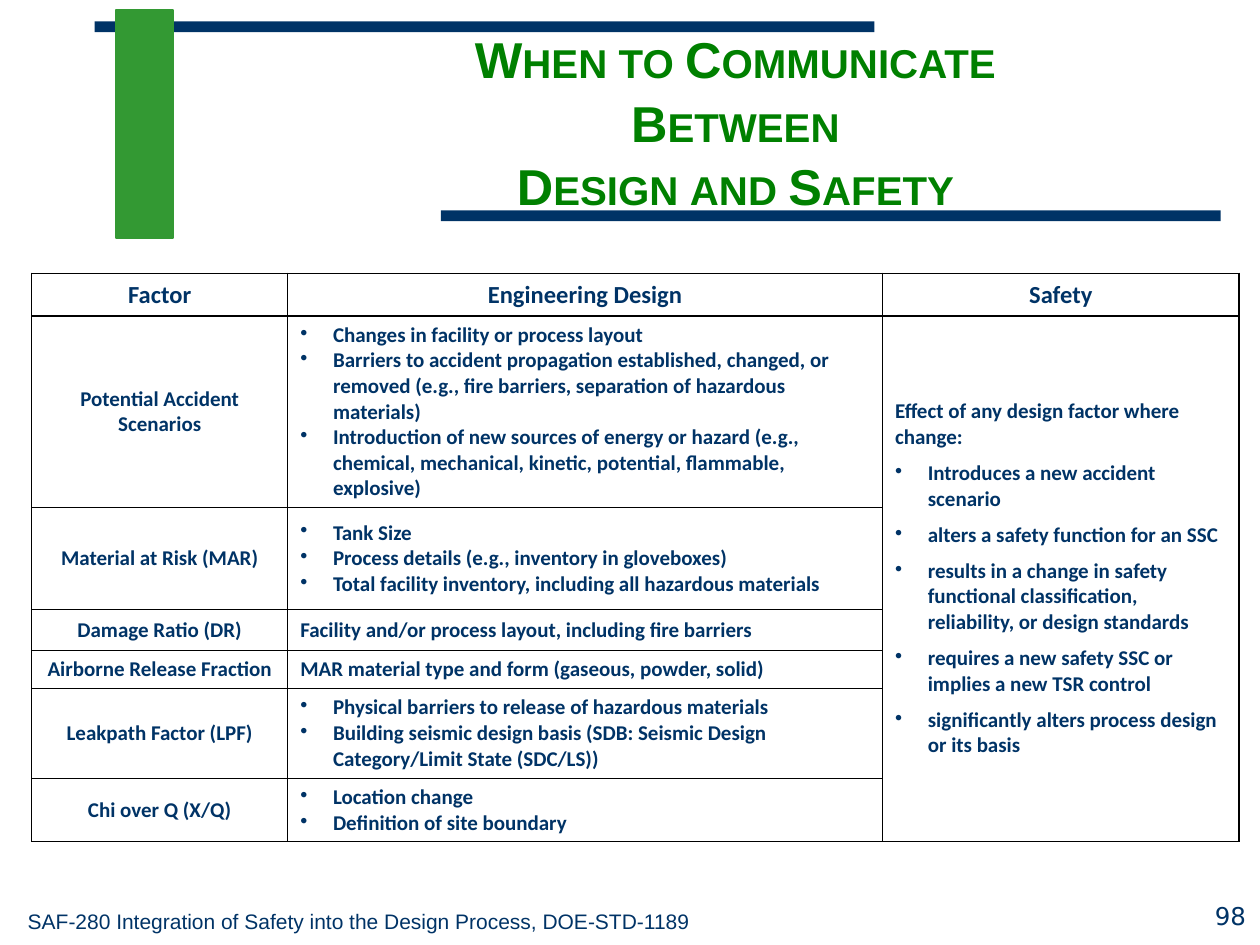
"""Build the slide on when design and safety teams should communicate."""
from lxml.etree import SubElement
from pptx import Presentation
from pptx.dml.color import RGBColor
from pptx.enum.shapes import MSO_SHAPE
from pptx.enum.text import MSO_ANCHOR, PP_ALIGN
from pptx.oxml.ns import qn
from pptx.util import Cm, Pt

NAVY, GREEN, TITLE_GREEN = "003366", "339933", "008000"
LEFT, CENTER, RIGHT = PP_ALIGN.LEFT, PP_ALIGN.CENTER, PP_ALIGN.RIGHT


def rgb(color):
    return RGBColor.from_string(color)


def style(paragraph, face, size, color, bold, align):
    paragraph.alignment = align
    font = paragraph.font
    font.name, font.size, font.bold = face, Pt(size), bold
    font.color.rgb = rgb(color)


presentation = Presentation()
presentation.slide_width, presentation.slide_height = Cm(25.4), Cm(19.05)
slide = presentation.slides.add_slide(presentation.slide_layouts[6])

for left, top, width, height, color in [
    (1.91, 0.43, 15.72, 0.22, NAVY),
    (2.34, 0.2, 1.15, 4.6, GREEN),
    (8.89, 4.24, 15.72, 0.22, NAVY),
]:
    bar = slide.shapes.add_shape(
        MSO_SHAPE.RECTANGLE, Cm(left), Cm(top), Cm(width), Cm(height))
    bar.shadow.inherit = False
    bar.fill.solid()
    bar.fill.fore_color.rgb = rgb(color)
    if color == GREEN:
        bar.line.color.rgb = rgb(GREEN)
        bar.line.width = Pt(0.75)
    else:
        bar.line.fill.background()

heading = slide.shapes.add_textbox(Cm(4.9), Cm(0.84), Cm(19.86), Cm(3.18)).text_frame
heading.word_wrap = True
heading.vertical_anchor = MSO_ANCHOR.MIDDLE
title = heading.paragraphs[0]
title.text = "When to Communicate\vBetween\vDesign and Safety"
title.line_spacing = 1.05
style(title, "Arial", 28.8, TITLE_GREEN, True, CENTER)
title._p.pPr.find(qn("a:defRPr")).set("cap", "small")

for left, top, width, height, text, face, size, align in [
    (0.56, 17.93, 14.05, 0.89,
     "SAF-280 Integration of Safety into the Design Process, DOE-STD-1189",
     "Arial", 12, LEFT),
    (19.02, 17.48, 6.1, 1.27, "98", "DejaVu Sans", 14, RIGHT),
]:
    footer = slide.shapes.add_textbox(Cm(left), Cm(top), Cm(width), Cm(height)).text_frame
    footer.word_wrap = True
    footer.vertical_anchor = MSO_ANCHOR.BOTTOM
    footer.margin_left = footer.margin_right = footer.margin_top = footer.margin_bottom = 0
    footer.text = text
    style(footer.paragraphs[0], face, size, NAVY, False, align)

# A leading "•" marks a bulleted paragraph.
factors = [
    (0.86, ["Factor"], ["Engineering Design"], ["Safety"]),
    (3.86, ["Potential Accident Scenarios"], [
        "•Changes in facility or process layout",
        "•Barriers to accident propagation established, changed, or removed "
        "(e.g., fire barriers, separation of hazardous materials)",
        "•Introduction of new sources of energy or hazard (e.g., chemical, "
        "mechanical, kinetic, potential, flammable, explosive)",
    ], [
        "Effect of any design factor where change:",
        "•Introduces a new accident scenario",
        "•alters a safety function for an SSC",
        "•results in a change in safety functional classification, "
        "reliability, or design standards",
        "•requires a new safety SSC or implies a new TSR control",
        "•significantly alters process design or its basis",
    ]),
    (2.06, ["Material at Risk (MAR)"], [
        "•Tank Size",
        "•Process details (e.g., inventory in gloveboxes)",
        "•Total facility inventory, including all hazardous materials",
    ], []),
    (0.82, ["Damage Ratio (DR)"],
     ["Facility and/or process layout, including fire barriers"], []),
    (0.77, ["Airborne Release Fraction"],
     ["MAR material type and form (gaseous, powder, solid)"], []),
    (1.81, ["Leakpath Factor (LPF)"], [
        "•Physical barriers to release of hazardous materials",
        "•Building seismic design basis (SDB: Seismic Design Category/Limit State (SDC/LS))",
    ], []),
    (1.27, ["Chi over Q (X/Q)"],
     ["•Location change", "•Definition of site boundary"], []),
]
column_widths = [5.16, 11.99, 7.19]
table = slide.shapes.add_table(
    len(factors), len(column_widths), Cm(0.64), Cm(5.51),
    Cm(sum(column_widths)), Cm(sum(factor[0] for factor in factors))).table
table.first_row = table.horz_banding = False
for column, width in zip(table.columns, column_widths):
    column.width = Cm(width)
table.cell(1, 2).merge(table.cell(len(factors) - 1, 2))

for row, (height, *contents) in enumerate(factors):
    table.rows[row].height = Cm(height)
    for column, lines in enumerate(contents):
        cell = table.cell(row, column)
        cell.vertical_anchor = MSO_ANCHOR.MIDDLE
        properties = cell._tc.get_or_add_tcPr()
        for side in ("a:lnL", "a:lnR", "a:lnT", "a:lnB"):
            border = SubElement(properties, qn(side), w=str(Pt(1)))
            ink = SubElement(border, qn("a:solidFill"))
            SubElement(ink, qn("a:srgbClr"), val="000000")
        cell.fill.background()
        for index, line in enumerate(lines):
            frame = cell.text_frame
            entry = frame.add_paragraph() if index else frame.paragraphs[0]
            entry.text = line.removeprefix("•")
            if line.startswith("•"):
                indent = entry._p.get_or_add_pPr()
                indent.set("marL", str(Cm(0.66)))
                indent.set("indent", str(-Cm(0.66)))
                SubElement(indent, qn("a:buChar"), char="•")
                tabs = SubElement(indent, qn("a:tabLst"))
                SubElement(tabs, qn("a:tab"), pos=str(Cm(1.27)), algn="l")
                if column == 2:
                    entry.space_before = Pt(6)
            style(entry, "Calibri", 12 if row else 14, NAVY, True,
                  CENTER if row == 0 or column == 0 else LEFT)

presentation.save("out.pptx")
